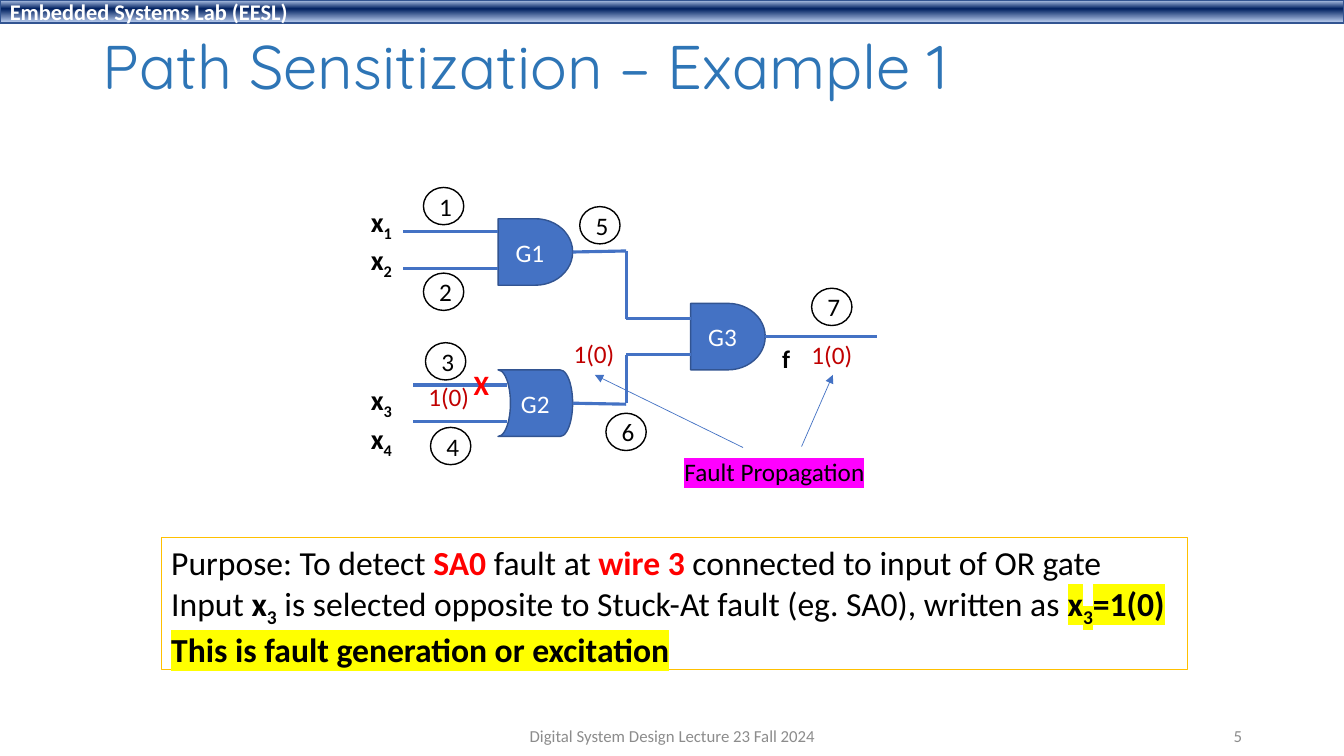
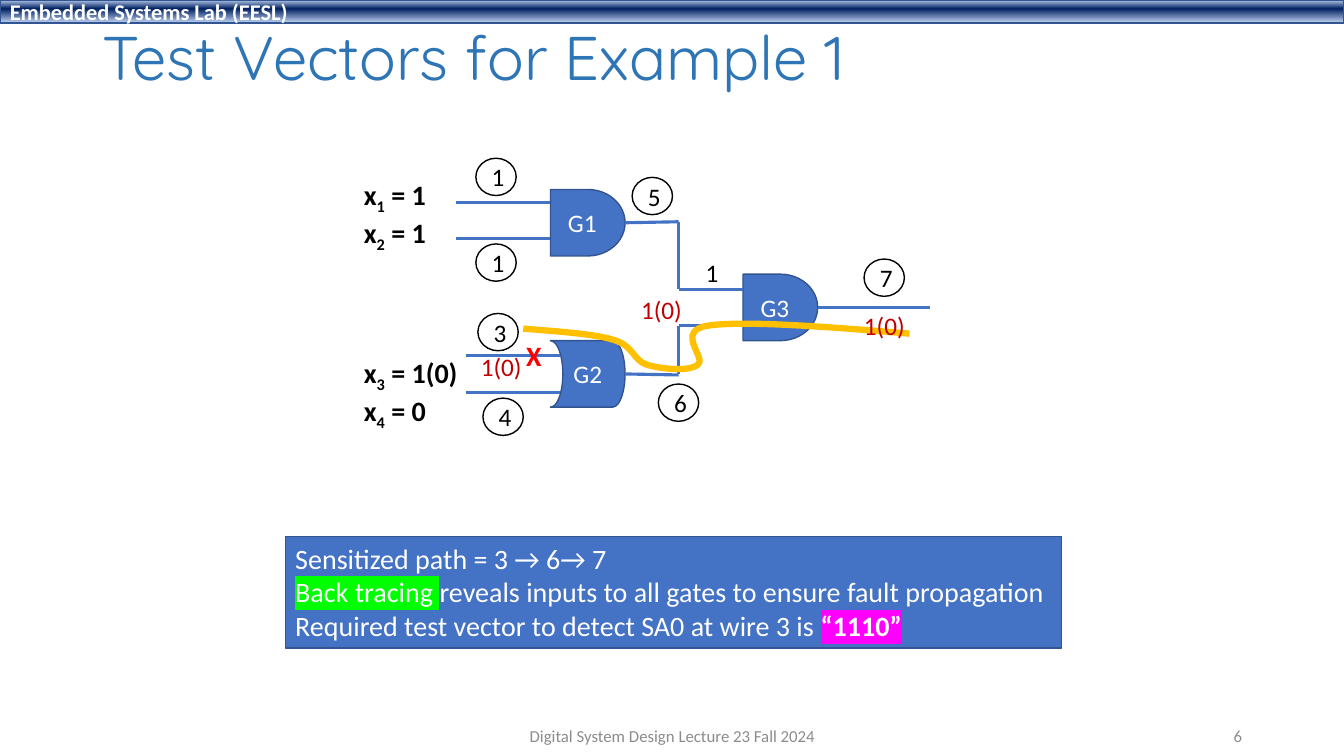
import copy

import pptx
import pptx.dml.color
import pptx.enum.shapes
import pptx.enum.text
import pptx.oxml.ns
import pptx.util
from lxml import etree

Inches = pptx.util.Inches
Pt = pptx.util.Pt
RGB = pptx.dml.color.RGBColor
SHAPE = pptx.enum.shapes.MSO_SHAPE
ALIGN = pptx.enum.text.PP_ALIGN
ANCHOR = pptx.enum.text.MSO_ANCHOR
qn = pptx.oxml.ns.qn

BLACK = RGB(0x00, 0x00, 0x00)
WHITE = RGB(0xFF, 0xFF, 0xFF)
GRAY = RGB(0x8C, 0x8C, 0x8C)
BLUE = RGB(0x44, 0x72, 0xC4)
EDGE = RGB(0x32, 0x54, 0x91)
TITLE_BLUE = RGB(0x2E, 0x75, 0xB6)
RED = RGB(0xFF, 0x00, 0x00)
DARK_RED = RGB(0xC0, 0x00, 0x00)
GOLD = RGB(0xFF, 0xC0, 0x00)
YELLOW = RGB(0xFF, 0xFF, 0x00)
MAGENTA = RGB(0xFF, 0x00, 0xFF)
GREEN = RGB(0x00, 0xFF, 0x00)
BAND_STOPS = [(0.02, RGB(0xAB, 0xC0, 0xE4)), (0.38, RGB(0x00, 0x20, 0x60)),
              (0.93, RGB(0xAD, 0xC1, 0xE5))]

BOLD = {"bold": True}
SUB = {"bold": True, "sub": True}
ALERT = {"bold": True, "color": RED}


def write(tf, *lines, align=ALIGN.LEFT, anchor=ANCHOR.TOP, wrap=False, spacing=None, **base):
    """Fill a text frame; a line is a string or a list of strings and (text, format) runs."""
    tf.word_wrap = wrap
    tf.vertical_anchor = anchor
    for i, line in enumerate(lines):
        p = tf.add_paragraph() if i else tf.paragraphs[0]
        p.alignment = align
        p.line_spacing = spacing
        for run in [line] if isinstance(line, str) else line:
            text, own = (run, {}) if isinstance(run, str) else run
            fmt = {"size": 18, "color": BLACK, "bold": False, "font": "Calibri", **base, **own}
            r = p.add_run()
            r.text = text
            r.font.size = Pt(fmt["size"])
            r.font.bold = fmt["bold"]
            r.font.color.rgb = fmt["color"]
            r.font.name = fmt["font"]
            rPr = r.font._element if hasattr(r.font, "_element") else r._r.get_or_add_rPr()
            if fmt.get("sub"):
                rPr.set("baseline", "-25000")
            if "highlight" in fmt:
                mark = etree.Element(qn("a:highlight"))
                etree.SubElement(mark, qn("a:srgbClr"), val=str(fmt["highlight"]))
                rPr.find(qn("a:latin")).addprevious(mark)


def add_line(shapes, x1, y1, x2, y2, width=2.25, arrow=False):
    line = shapes.add_connector(pptx.enum.shapes.MSO_CONNECTOR.STRAIGHT,
                                Inches(x1), Inches(y1), Inches(x2), Inches(y2))
    line.line.color.rgb = BLUE
    line.line.width = Pt(width)
    if arrow:
        etree.SubElement(line.line._get_or_add_ln(), qn("a:tailEnd"), type="triangle")
    etree.SubElement(line.element.spPr, qn("a:effectLst"))


GATES = [("G1", 4.94, 2.17, SHAPE.FLOWCHART_DELAY),
         ("G3", 6.85, 3.01, SHAPE.FLOWCHART_DELAY),
         ("G2", 4.94, 3.67, SHAPE.FLOWCHART_STORED_DATA)]
WIRES = [(4, 2.3, 4.94, 2.3), (4, 2.66, 4.94, 2.66),
         (4.1, 3.82, 5.03, 3.82), (4.1, 4.18, 5.03, 4.18),
         (5.68, 2.5, 6.21, 2.49), (6.21, 2.49, 6.21, 3.16), (6.21, 3.16, 6.85, 3.16),
         (5.68, 4, 6.21, 4.01), (6.21, 4, 6.21, 3.52), (6.21, 3.52, 6.85, 3.52),
         (7.59, 3.34, 8.7, 3.34)]
NUMBER_SPOTS = [(4.2, 1.86), (4.2, 2.71), (4.22, 3.4), (4.27, 4.24),
                (5.75, 2.05), (6.01, 4.1), (8.05, 2.86)]
SENSITIZED_PATH = [(5.19, 3.26),
                   (5.54, 3.29), (5.88, 3.31), (6.08, 3.37),
                   (6.29, 3.43), (6.28, 3.58), (6.42, 3.62),
                   (6.56, 3.66), (6.82, 3.69), (6.92, 3.62),
                   (7.02, 3.56), (6.68, 3.28), (7.03, 3.23),
                   (7.38, 3.18), (8.2, 3.24), (9.02, 3.31)]

SLIDES = [
    {"title": "Path Sensitization – Example 1", "title_box": (0.92, 0.22, 11.5, 0.94),
     "page": "5", "shift": (0, 0), "numbers": "1234567",
     "inputs": ["", "", "", ""], "inputs_box": (3.58, 1.98, 0.43, 0.8),
     "values": [(4.15, 3.73), (5.59, 3.31), (7.95, 3.32)],
     "labels": [("f", (7.66, 3.36, 0.28, 0.4), BOLD),
                ("Fault Propagation", (6.69, 4.48, 2.01, 0.4), {"highlight": MAGENTA})],
     "arrows": [(7.37, 4.44, 5.9, 3.72), (7.95, 4.43, 8.26, 3.72)], "curve": [],
     "note_box": (1.6, 5.33, 10.18, 1.31), "note_fill": WHITE, "note_edge": GOLD,
     "note_format": {"size": 24},
     "note": [
         ["Purpose: To detect ", ("SA0", ALERT), " fault at ", ("wire 3", ALERT),
          " connected to input of OR gate"],
         ["Input ", ("x", BOLD), ("3", SUB),
          " is selected opposite to Stuck-At fault (eg. SA0), written as ",
          ("x", {**BOLD, "highlight": YELLOW}), ("3", {**SUB, "highlight": YELLOW}),
          ("=1(0)", {**BOLD, "highlight": YELLOW})],
         [("This is fault generation or excitation", {**BOLD, "highlight": YELLOW})]]},
    {"title": "Test Vectors for Example 1", "title_box": (0.92, 0.15, 11.5, 0.91),
     "page": "6", "shift": (0.52, -0.29), "numbers": "1134567",
     "inputs": [" = 1", " = 1", " = 1(0)", " = 0"], "inputs_box": (3.51, 1.71, 1.18, 0.8),
     "values": [(4.67, 3.44), (6.26, 2.87), (8.47, 3.03)],
     "labels": [("1", (6.9, 2.5, 0.33, 0.4), {})],
     "arrows": [], "curve": SENSITIZED_PATH,
     "note_box": (2.83, 5.32, 7.7, 1.11), "note_fill": BLUE, "note_edge": EDGE,
     "note_format": {"size": 20, "color": WHITE},
     "note": [
         "Sensitized path = 3 → 6→ 7",
         [("Back tracing ", {"highlight": GREEN}),
          "reveals inputs to all gates to ensure fault propagation"],
         ["Required test vector to detect SA0 at wire 3 is ",
          ("“1110”", {**BOLD, "highlight": MAGENTA})]]},
]

prs = pptx.Presentation()
prs.slide_width = Inches(13.33)
prs.slide_height = Inches(7.5)
layout = prs.slide_layouts[5]
footers = [ph for ph in layout.placeholders if ph.placeholder_format.idx in (11, 12)]
slides = [prs.slides.add_slide(layout) for _ in SLIDES]

# The band is built once and moved to the layout
band = slides[0].shapes.add_shape(SHAPE.RECTANGLE, 0, 0, prs.slide_width, Inches(0.23))
band.shadow.inherit = False
band.line.color.rgb = EDGE
band.line.width = Pt(1)
band.fill.gradient()
band.fill.gradient_angle = 270
stop_list = band.element.spPr.find(".//" + qn("a:gsLst"))
stop_list.append(copy.deepcopy(stop_list[0]))
for stop, (position, color) in zip(band.fill.gradient_stops, BAND_STOPS):
    stop.position = position
    stop.color.rgb = color
write(band.text_frame, "Embedded Systems Lab (EESL)", size=16, color=WHITE, bold=True,
      anchor=ANCHOR.MIDDLE, wrap=True)
layout.shapes.element.insert(2, band.element)

for s, d in zip(slides, SLIDES):
    title = s.shapes.title
    title.left, title.top, title.width, title.height = map(Inches, d["title_box"])
    write(title.text_frame, d["title"], size=44, font="Quicksand", color=TITLE_BLUE,
          anchor=ANCHOR.MIDDLE, wrap=True, spacing=0.9)

    # Circuit
    circuit = s.shapes.add_group_shape()
    for name, x, y, kind in GATES:
        sp = circuit.shapes.add_shape(kind, Inches(x), Inches(y), Inches(0.74), Inches(0.66))
        sp.shadow.inherit = False
        sp.fill.solid()
        sp.fill.fore_color.rgb = BLUE
        sp.line.color.rgb = EDGE
        sp.line.width = Pt(1)
        if kind == SHAPE.FLOWCHART_STORED_DATA:
            sp.element.spPr.find(qn("a:xfrm")).set("flipH", "1")
        write(sp.text_frame, name, color=WHITE, align=ALIGN.CENTER, anchor=ANCHOR.MIDDLE,
              wrap=True)
    for wire in WIRES:
        add_line(circuit.shapes, *wire)
    for number, (x, y) in zip(d["numbers"], NUMBER_SPOTS):
        sp = circuit.shapes.add_shape(SHAPE.OVAL, Inches(x), Inches(y), Inches(0.4), Inches(0.37))
        sp.shadow.inherit = False
        sp.fill.background()
        sp.line.color.rgb = BLACK
        sp.line.width = Pt(1)
        write(sp.text_frame, number, align=ALIGN.CENTER, anchor=ANCHOR.MIDDLE, wrap=True)
    fault = circuit.shapes.add_textbox(Inches(4.6), Inches(3.6), Inches(0.36), Inches(0.44))
    write(fault.text_frame, "X", size=20, **ALERT)
    circuit.left += Inches(d["shift"][0])
    circuit.top += Inches(d["shift"][1])

    # Input names, two to a box
    x, y, w, h = d["inputs_box"]
    names = [[("x", BOLD), (str(i), SUB), (value, BOLD)] if value else [("x", BOLD), (str(i), SUB)]
             for i, value in enumerate(d["inputs"], 1)]
    for pair in range(2):
        tb = s.shapes.add_textbox(Inches(x), Inches(y + 1.77 * pair), Inches(w), Inches(h))
        write(tb.text_frame, *names[2 * pair:2 * pair + 2], size=20)

    if d["curve"]:
        points = [(Inches(x), Inches(y)) for x, y in d["curve"]]
        builder = s.shapes.build_freeform(*points[0])
        builder.add_line_segments(points[1:], close=False)
        curve = builder.convert_to_shape()
        curve.shadow.inherit = False
        curve.fill.background()
        curve.line.color.rgb = GOLD
        curve.line.width = Pt(4.5)
        # Every three points become one Bezier segment
        outline = curve.element.spPr.find(".//" + qn("a:path"))
        segments = outline.findall(qn("a:lnTo"))
        for i in range(0, len(segments), 3):
            bezier = etree.SubElement(outline, qn("a:cubicBezTo"))
            for segment in segments[i:i + 3]:
                bezier.append(segment[0])
                outline.remove(segment)

    values = [("1(0)", (x, y, 0.61, 0.4), {"color": DARK_RED}) for x, y in d["values"]]
    for text, box, fmt in values + d["labels"]:
        write(s.shapes.add_textbox(*map(Inches, box)).text_frame, text, **fmt)
    for arrow in d["arrows"]:
        add_line(s.shapes, *arrow, width=0.5, arrow=True)

    note = s.shapes.add_shape(SHAPE.RECTANGLE, *map(Inches, d["note_box"]))
    note.shadow.inherit = False
    note.fill.solid()
    note.fill.fore_color.rgb = d["note_fill"]
    note.line.color.rgb = d["note_edge"]
    note.line.width = Pt(1)
    write(note.text_frame, *d["note"], wrap=True, **d["note_format"])

    # Footer and page number
    for ph, text, box, align in zip(
            footers, ["Digital System Design Lecture 23 Fall 2024", d["page"]],
            [(4.42, 7.1, 4.5, 0.4), (9.42, 7.1, 3, 0.4)], [ALIGN.CENTER, ALIGN.RIGHT]):
        s.shapes.element.append(copy.deepcopy(ph.element))
        sp = s.placeholders[ph.placeholder_format.idx]
        sp.left, sp.top, sp.width, sp.height = map(Inches, box)
        sp.text_frame.clear()
        write(sp.text_frame, text, size=12, color=GRAY, align=align, anchor=ANCHOR.MIDDLE,
              wrap=True)

prs.save("out.pptx")
